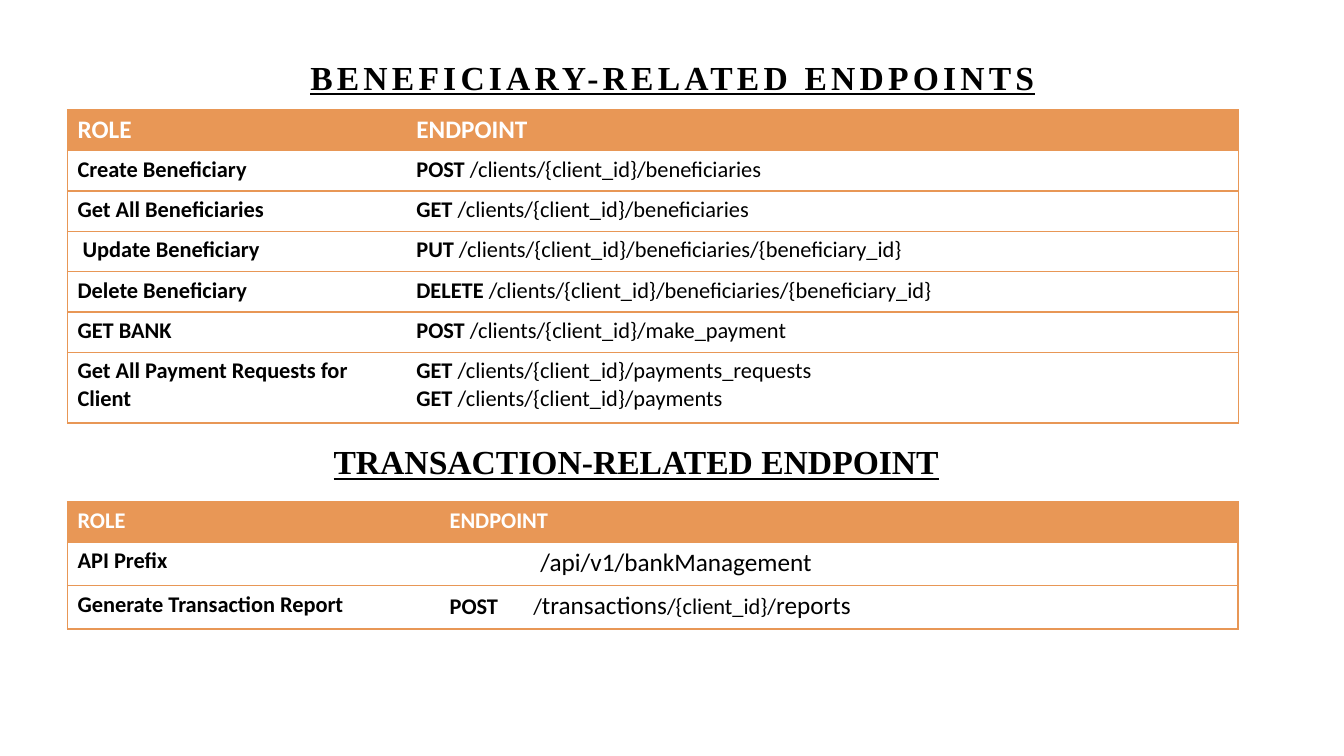
from pptx import Presentation
from pptx.dml.color import RGBColor
from pptx.enum.text import MSO_ANCHOR, PP_ALIGN
from pptx.oxml import parse_xml
from pptx.oxml.ns import nsdecls
from pptx.util import Inches, Pt

ORANGE, BLACK, WHITE = "E89756", "000000", "FFFFFF"
TABLE_LEFT = 0.67
TAB_STOP = 0.83

# Each row: role, then the endpoint lines, each a list of (text, size, bold).
BENEFICIARY_CALLS = [
    ("Create Beneficiary", ["POST /clients/{client_id}/beneficiaries"]),
    ("Get All Beneficiaries", ["GET /clients/{client_id}/beneficiaries"]),
    ("Update Beneficiary", ["PUT /clients/{client_id}/beneficiaries/{beneficiary_id}"]),
    ("Delete Beneficiary", ["DELETE /clients/{client_id}/beneficiaries/{beneficiary_id}"]),
    ("GET BANK", ["POST /clients/{client_id}/make_payment"]),
    ("Get All Payment Requests for Client",
     ["GET /clients/{client_id}/payments_requests", "GET /clients/{client_id}/payments"]),
]
TRANSACTION_ROWS = [
    ("API Prefix", [[("/api/v1/bankManagement", 18, False)]]),
    ("Generate Transaction Report",
     [[("POST", 16, True), ("\t/", 16, False), ("transactions", 18, False),
       ("/{client_id}/", 16, False), ("reports", 18, False)]]),
]


def rgb(color):
    return RGBColor.from_string(color)


def call_runs(call):
    """Split a call into its bold verb and its plain path."""
    verb, route = call.split(" ", 1)
    return [(verb, 16, True), (" " + route, 16, False)]


def style_font(font, name, size, color, bold=True):
    font.name, font.size, font.bold = name, Pt(size), bold
    font.color.rgb = rgb(color)


def format_heading(frame, text, spacing=0):
    paragraph = frame.paragraphs[0]
    paragraph.alignment = PP_ALIGN.CENTER
    run = paragraph.add_run()
    run.text = text
    style_font(run.font, "Times New Roman", 24, BLACK)
    run.font.underline = True
    if spacing:
        run.font._element.set("spc", str(spacing * 100))
    return paragraph


def add_tab_stop(paragraph):
    paragraph._p.get_or_add_pPr().append(parse_xml(
        f'<a:tabLst {nsdecls("a")}><a:tab pos="{Inches(TAB_STOP)}" algn="l"/></a:tabLst>'))


def write_lines(cell, lines, color=BLACK):
    frame = cell.text_frame
    for index, runs in enumerate(lines):
        paragraph = frame.add_paragraph() if index else frame.paragraphs[0]
        if any("\t" in text for text, _, _ in runs):
            add_tab_stop(paragraph)
        style_font(paragraph.font, "Calibri", runs[0][1], color, runs[0][2])
        for text, size, bold in runs:
            run = paragraph.add_run()
            run.text = text
            style_font(run.font, "Calibri", size, color, bold)


def set_borders(cell, inner_side):
    """Rule every side of the cell except the one between the columns."""
    properties = cell._tc.get_or_add_tcPr()
    for side in "LRTB":
        paint = "<a:noFill/>" if side == inner_side else (
            f'<a:solidFill><a:srgbClr val="{ORANGE}"/></a:solidFill>')
        properties.append(parse_xml(
            f'<a:ln{side} {nsdecls("a")} w="{Pt(1)}">{paint}</a:ln{side}>'))


def add_endpoint_table(slide, top, widths, heights, header_size, rows):
    table = slide.shapes.add_table(
        len(heights), 2, Inches(TABLE_LEFT), Inches(top),
        Inches(sum(widths)), Inches(sum(heights))).table
    table.horz_banding = False
    for column, width in zip(table.columns, widths):
        column.width = Inches(width)
    for row, height in zip(table.rows, heights):
        row.height = Inches(height)

    header = ("ROLE", [[("ENDPOINT", header_size, True)]])
    for row_index, (role, lines) in enumerate([header] + rows):
        is_header = row_index == 0
        role_line = [(role, header_size if is_header else 16, True)]
        for column_index, content in enumerate(([role_line], lines)):
            cell = table.cell(row_index, column_index)
            set_borders(cell, "RL"[column_index])
            if is_header:
                cell.fill.solid()
                cell.fill.fore_color.rgb = rgb(ORANGE)
            else:
                cell.fill.background()
            write_lines(cell, content, WHITE if is_header else BLACK)
    return table


def main():
    presentation = Presentation()
    presentation.slide_width, presentation.slide_height = Inches(13.33), Inches(7.5)
    slide = presentation.slides.add_slide(presentation.slide_layouts[5])

    title = slide.shapes.title
    title.left, title.top = Inches(0.92), Inches(0.4)
    title.width, title.height = Inches(11.5), Inches(0.77)
    title.text_frame.vertical_anchor = MSO_ANCHOR.MIDDLE
    format_heading(title.text_frame, "BENEFICIARY-RELATED ENDPOINTS", 3).line_spacing = 0.9

    beneficiary_rows = [(role, [call_runs(call) for call in calls])
                        for role, calls in BENEFICIARY_CALLS]
    beneficiaries = add_endpoint_table(
        slide, 1.09, (3.36, 8.25), [0.4] * 6 + [0.7], 18, beneficiary_rows)
    beneficiaries.cell(3, 0).margin_left = Inches(0.15)

    subheading = slide.shapes.add_textbox(
        Inches(1.42), Inches(4.33), Inches(9.78), Inches(0.5)).text_frame
    subheading.word_wrap = True
    format_heading(subheading, "TRANSACTION-RELATED ENDPOINT")

    transactions = add_endpoint_table(
        slide, 4.98, (3.69, 7.92), (0.4, 0.43, 0.43), 16, TRANSACTION_ROWS)
    transactions.cell(1, 1).margin_left = Inches(1)

    presentation.save("out.pptx")


if __name__ == "__main__":
    main()
